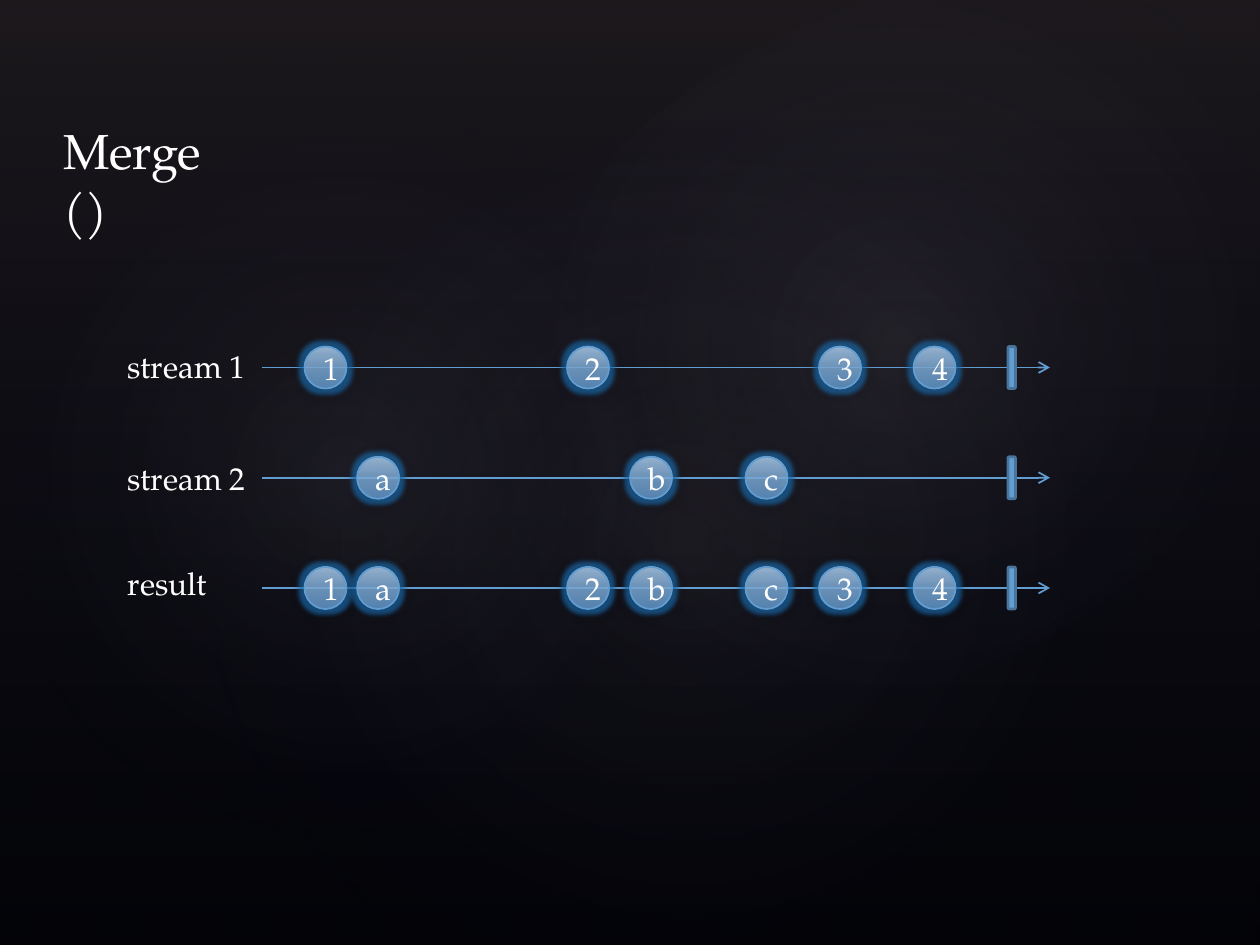
import pptx
import pptx.util
import pptx.dml.color
import pptx.enum.shapes
import pptx.enum.text
import pptx.oxml
import pptx.oxml.ns

Pt = pptx.util.Pt
SHAPES = pptx.enum.shapes.MSO_SHAPE
ANCHOR = pptx.enum.text.MSO_ANCHOR
ALIGN = pptx.enum.text.PP_ALIGN
COLORS = {
    "black": "000000", "white": "FFFFFF", "blue": "629DD1", "edge": "49749B",
    "glow": "1C74BC", "plum": "504652", "navy": "242852", "haze": "C4BCC6",
    "ball_dark": "7FAAD6", "ball_mid": "B8D1F0", "ball_light": "DCEBFF",
}


def rgb(name):
    return pptx.dml.color.RGBColor.from_string(COLORS[name])


def color_xml(name, alpha):
    return f'<a:srgbClr val="{COLORS[name]}"><a:alpha val="{alpha * 1000}"/></a:srgbClr>'


def element(tag, body="", attributes=""):
    namespace = pptx.oxml.ns.nsdecls("a")
    return pptx.oxml.parse_xml(f"<a:{tag} {namespace} {attributes}>{body}</a:{tag}>")


class Diagram:
    font = "TeX Gyre Pagella"

    def __init__(self, slide):
        self.slide = slide

    def add_text(self, frame, text, size, align=ALIGN.LEFT):
        paragraph = frame.paragraphs[0]
        paragraph.alignment = align
        run = paragraph.add_run()
        run.text = text
        run.font.name = self.font
        run.font.size = Pt(size)
        run.font.color.rgb = rgb("white")

    def title(self, text, left, top, width, height):
        shape = self.slide.shapes.title
        shape.left, shape.top, shape.width, shape.height = map(Pt, (left, top, width, height))
        frame = shape.text_frame
        frame.auto_size = pptx.enum.text.MSO_AUTO_SIZE.NONE
        frame.word_wrap = True
        frame.vertical_anchor = ANCHOR.TOP
        frame.margin_right = Pt(24)
        self.add_text(frame, text, 28)
        # Bring the title in front of the backdrop
        self.slide.shapes._spTree.append(shape._element)

    def label(self, text, left, top, width):
        frame = self.slide.shapes.add_textbox(Pt(left), Pt(top), Pt(width), Pt(29)).text_frame
        frame.word_wrap = False
        self.add_text(frame, text, 18)

    def shape(self, kind, left, top, width, height, line=None, weight=1):
        shape = self.slide.shapes.add_shape(kind, Pt(left), Pt(top), Pt(width), Pt(height))
        shape.shadow.inherit = False
        if line:
            shape.line.color.rgb = rgb(line)
            shape.line.width = Pt(weight)
        else:
            shape.line.fill.background()
        return shape

    def gradient(self, shape, stops, angle=None):
        """Fill with (position, colour, opacity) stops; radial without an angle."""
        stop_xml = "".join(f'<a:gs pos="{position * 1000}">{color_xml(name, alpha)}</a:gs>'
                           for position, name, alpha in stops)
        if angle is None:
            way = ('<a:path path="circle"><a:fillToRect l="50000" t="50000" '
                   'r="50000" b="50000"/></a:path>')
        else:
            way = f'<a:lin ang="{angle * 60000}" scaled="0"/>'
        fill = element("gradFill", f"<a:gsLst>{stop_xml}</a:gsLst>{way}", 'rotWithShape="1"')
        shape._element.spPr.find(pptx.oxml.ns.qn("a:prstGeom")).addnext(fill)

    def ball(self, text, left, top):
        shape = self.shape(SHAPES.OVAL, left, top, 24, 24, "blue")
        self.gradient(shape, [(0, "ball_dark", 58), (48, "ball_mid", 52),
                              (100, "ball_light", 65)], 270)
        effects = shape._element.spPr.find(pptx.oxml.ns.qn("a:effectLst"))
        effects.append(element("glow", color_xml("glow", 60), 'rad="63500"'))
        effects.append(element("outerShdw", color_xml("black", 32),
                               'blurRad="63500" dist="12700" dir="5400000" rotWithShape="0"'))
        shape.text_frame.vertical_anchor = ANCHOR.MIDDLE
        self.add_text(shape.text_frame, text, 18, ALIGN.CENTER)

    def end_bar(self, left, top):
        shape = self.shape(SHAPES.ROUNDED_RECTANGLE, left, top, 4.3, 24, "edge", 1.5)
        shape.fill.solid()
        shape.fill.fore_color.rgb = rgb("blue")

    def arrow(self, start, end, y):
        connector = self.slide.shapes.add_connector(
            pptx.enum.shapes.MSO_CONNECTOR.STRAIGHT, Pt(start), Pt(y), Pt(end), Pt(y))
        connector.line.color.rgb = rgb("blue")
        connector.line.width = Pt(1)
        properties = connector._element.spPr
        properties.find(pptx.oxml.ns.qn("a:ln")).append(
            element("tailEnd", attributes='type="arrow"'))
        properties.append(element("effectLst"))


presentation = pptx.Presentation()
presentation.slide_width, presentation.slide_height = Pt(720), Pt(540)
slide = presentation.slides.add_slide(presentation.slide_layouts[5])
diagram = Diagram(slide)

# Backdrop: dark veil and three soft lights
slide.background.fill.solid()
slide.background.fill.fore_color.rgb = rgb("black")
veil = diagram.shape(SHAPES.RECTANGLE, 0, 0, 720, 540)
diagram.gradient(veil, [(0, "plum", 36), (100, "navy", 10)], 90)
for left, top, width, height, rotation, alpha in [
    (108, 82, 570, 449, 328.7, 7),
    (-21.6, 92, 436, 353, 294.3, 8),
    (258, 9.4, 510.5, 374.4, 328.7, 8),
]:
    light = diagram.shape(SHAPES.OVAL, left, top, width, height)
    light.rotation = rotation
    diagram.gradient(light, [(0, "haze", alpha), (58, "navy", 0)])

diagram.title("Merge ()", 28.8, 65.5, 121, 41)

# Marble rows: the result holds the events of both streams
numbers = {"1": 174, "2": 324, "3": 468, "4": 522}
letters = {"a": 204, "b": 360, "c": 426}
rows = [
    ("stream 1", 195, 83, numbers),
    ("stream 2", 259, 83, letters),
    ("result", 319, 60.5, {**numbers, **letters}),
]
for index, (name, label_top, label_width, events) in enumerate(rows):
    top = 198 + 63 * index
    diagram.label(name, 66, label_top, label_width)
    diagram.arrow(150, 600, top + 12)
    for text, left in sorted(events.items(), key=lambda event: event[1]):
        diagram.ball(text, left, top)
    diagram.end_bar(576, top)

presentation.save("out.pptx")
